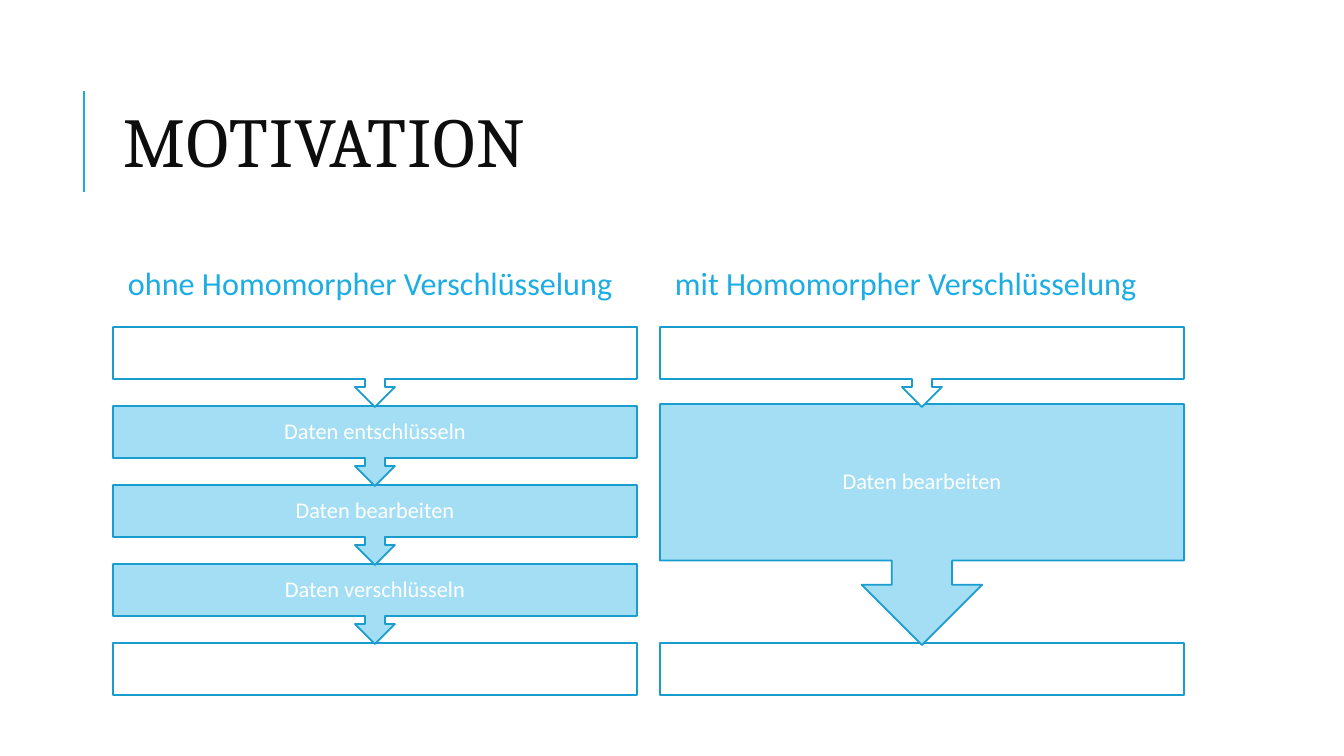
from lxml import etree
from pptx import Presentation
from pptx.dml.color import RGBColor
from pptx.enum.shapes import MSO_CONNECTOR, MSO_SHAPE
from pptx.enum.text import MSO_ANCHOR, PP_ALIGN
from pptx.oxml.ns import qn
from pptx.util import Pt

PIXEL = 914400 / 100.8
ACCENT = RGBColor(0x1C, 0xAD, 0xE4)
OUTLINE = RGBColor(0x19, 0x9D, 0xCF)
LIGHT_BLUE = RGBColor(0xA4, 0xDE, 0xF4)
NEAR_BLACK = RGBColor(0x0D, 0x0D, 0x0D)
WHITE = RGBColor(0xFF, 0xFF, 0xFF)


def px(count):
    return round(count * PIXEL)


def write(box, text, size, color, font="Calibri", align=PP_ALIGN.LEFT,
          spacing=0.9, inset_x=10, inset_y=5, tracking=0):
    frame = box.text_frame
    frame.word_wrap = True
    frame.vertical_anchor = MSO_ANCHOR.MIDDLE
    frame.margin_left = frame.margin_right = px(inset_x)
    frame.margin_top = frame.margin_bottom = px(inset_y)
    para = frame.paragraphs[0]
    para.alignment = align
    para.line_spacing = spacing
    span = para.add_run()
    span.text = text
    span.font.size = Pt(size)
    span.font.name = font
    span.font.color.rgb = color
    if tracking:
        span.font._element.set("spc", str(tracking))


deck = Presentation()
deck.slide_width, deck.slide_height = px(1344), px(756)
page = deck.slides.add_slide(deck.slide_layouts[6])

# Title with its accent rule
rule = page.shapes.add_connector(MSO_CONNECTOR.STRAIGHT, px(84), px(192), px(84), px(91))
rule.line.color.rgb = ACCENT
rule.line.width = Pt(1.5)
etree.SubElement(rule._element.spPr, qn("a:effectLst"))
title = page.shapes.add_textbox(px(113), px(65), px(1072), px(165))
write(title, "MOTIVATION", 50, NEAR_BLACK, font="Cambria", spacing=0.8, tracking=100)

# Two process columns: heading, then steps as (top, height, text)
COLUMN_WIDTH = 524
FIRST_TOP, STEP, CALLOUT_HEIGHT = 327, 79, 80
END_TOP, END_HEIGHT = FIRST_TOP + 4 * STEP, 52
start = (FIRST_TOP, CALLOUT_HEIGHT, "")
labels = ["Daten entschlüsseln", "Daten bearbeiten", "Daten verschlüsseln"]
long_way = [start] + [(FIRST_TOP + row * STEP, CALLOUT_HEIGHT, label)
                      for row, label in enumerate(labels, 1)]
short_way = [start, (404, 241, "Daten bearbeiten")]
columns = [
    (113, "ohne Homomorpher Verschlüsselung", long_way),
    (660, "mit Homomorpher Verschlüsselung", short_way),
]

for left, heading, steps in columns:
    heading_box = page.shapes.add_textbox(px(left), px(240), px(COLUMN_WIDTH), px(91))
    write(heading_box, heading, 23, ACCENT, inset_x=15)

    # Bottom step first, so each arrow tip lies over the step below it
    parts = [(MSO_SHAPE.RECTANGLE, END_TOP, END_HEIGHT, "")]
    parts += [(MSO_SHAPE.DOWN_ARROW_CALLOUT, *step) for step in reversed(steps)]
    for kind, top, height, label in parts:
        box = page.shapes.add_shape(kind, px(left), px(top), px(COLUMN_WIDTH), px(height))
        box.shadow.inherit = False
        box.fill.solid()
        box.fill.fore_color.rgb = LIGHT_BLUE if label else WHITE
        box.line.color.rgb = OUTLINE
        box.line.width = Pt(1.25)
        if label:
            write(box, label, 16, WHITE, align=PP_ALIGN.CENTER, inset_x=12, inset_y=12)

deck.save("out.pptx")
